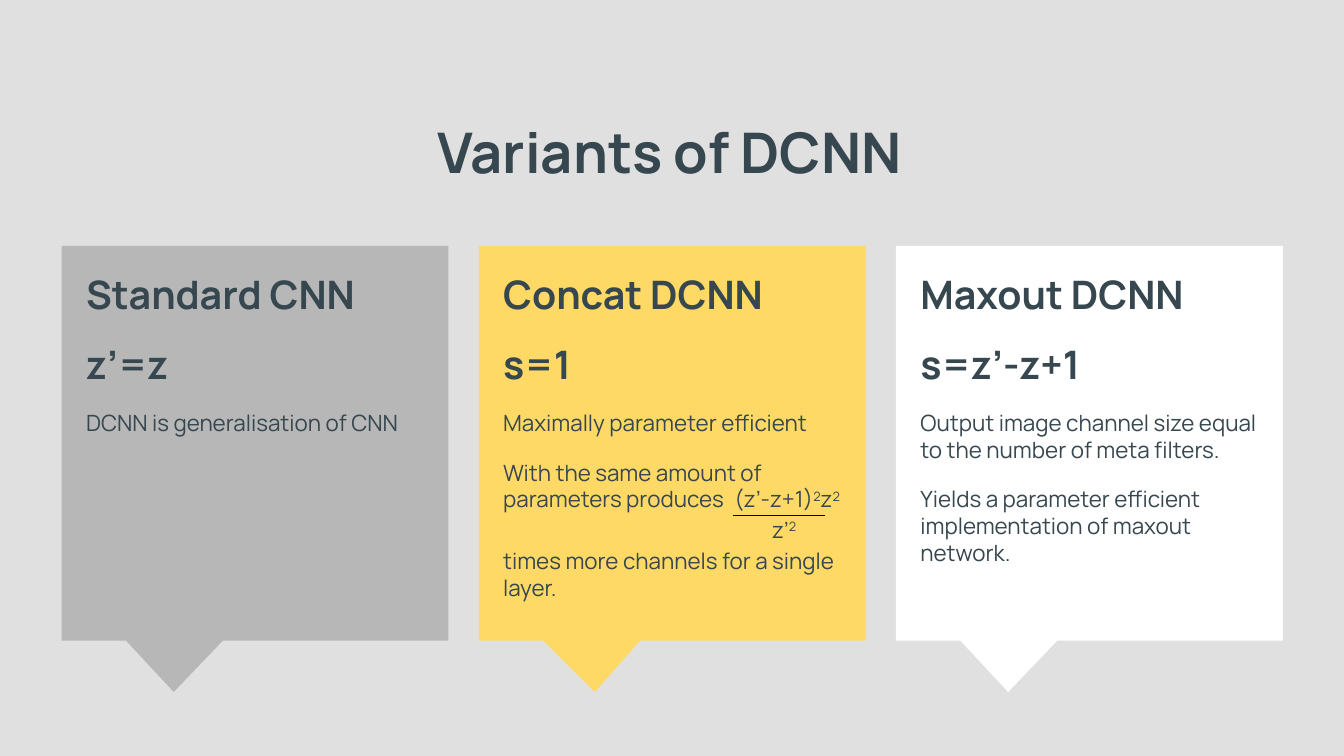
from dataclasses import dataclass

from lxml.etree import SubElement
from pptx import Presentation
from pptx.dml.color import RGBColor
from pptx.enum.shapes import MSO_CONNECTOR, MSO_SHAPE
from pptx.enum.text import PP_ALIGN
from pptx.oxml.ns import qn
from pptx.slide import Slide
from pptx.text.text import TextFrame
from pptx.util import Length, Pt


@dataclass(frozen=True)
class Theme:
    font: str = "Manrope"
    background: RGBColor = RGBColor(0xE0, 0xE0, 0xE0)
    ink: RGBColor = RGBColor(0x37, 0x47, 0x4F)
    rule: RGBColor = RGBColor(0, 0, 0)
    title: Length = Pt(30)
    heading: Length = Pt(21)
    body: Length = Pt(12)


@dataclass(frozen=True)
class Span:
    text: str
    raised: bool = False
    spacing: int = 0  # hundredths of a point


@dataclass(frozen=True)
class Line:
    spans: tuple[Span, ...]
    after: Length = Pt(12)
    indented: bool = False


@dataclass(frozen=True)
class Variant:
    name: str
    formula: str
    fill: str
    tip: tuple[float, float]
    lines: tuple[Line, ...]
    text_width: Length = Pt(195)
    text_height: Length = Pt(157.5)


THEME = Theme()
CARD_LEFT, CARD_TOP, CARD_PITCH = Pt(33), Pt(131.75), Pt(223.5)
CARD_WIDTH, CARD_HEIGHT = Pt(207.25), Pt(211.5)
TEXT_INSET = Pt(6)
SQUARED = Span("2", raised=True)

VARIANTS = (
    Variant("Standard CNN", "z’=z", "B7B7B7", (-0.21, 0.63),
            (Line((Span("DCNN is generalisation of CNN"),)),)),
    Variant("Concat DCNN", "s=1", "FFD966", (-0.2, 0.63), (
        Line((Span("Maximally parameter efficient"),)),
        Line((Span("With the same amount of parameters produces"),
              Span(" ", spacing=300), Span("(z’-z+1)"), SQUARED,
              Span("z"), SQUARED), after=Pt(2)),
        Line((Span("z’"), SQUARED), after=Pt(2), indented=True),
        Line((Span("times more channels for a single layer."),)),
    ), text_width=Pt(207.25), text_height=Pt(177)),
    Variant("Maxout DCNN", "s=z’-z+1", "FFFFFF", (-0.21, 0.63), (
        Line((Span("Output image channel size equal to the number of meta filters."),)),
        Line((Span("Yields a parameter efficient implementation of maxout network."),)),
    )),
)


def add_text_frame(page: Slide, left: Length, top: Length,
                   width: Length, height: Length) -> TextFrame:
    frame = page.shapes.add_textbox(left, top, width, height).text_frame
    frame.word_wrap = True
    frame.margin_left = frame.margin_right = Pt(7.2)
    frame.margin_top = frame.margin_bottom = Pt(7.2)
    return frame


def write_line(frame: TextFrame, line: Line, size: Length, bold: bool = False,
               align: PP_ALIGN = PP_ALIGN.LEFT) -> None:
    """Fill the empty first paragraph, or add one after the text so far."""
    first = frame.paragraphs[0]
    para = frame.add_paragraph() if first.runs else first
    para.alignment, para.space_after = align, line.after
    para.font.name, para.font.size, para.font.bold = THEME.font, size, bold
    para.font.color.rgb = THEME.ink
    if line.indented:
        properties = para._p.get_or_add_pPr()
        properties.set("marL", str(Pt(108)))
        properties.set("indent", str(Pt(36)))
    for span in line.spans:
        run = para.add_run()
        run.text = span.text
        if span.raised:
            run.font._element.set("baseline", "30000")
        if span.spacing:
            run.font._element.set("spc", str(span.spacing))


def add_card(page: Slide, variant: Variant, left: Length) -> None:
    card = page.shapes.add_shape(MSO_SHAPE.RECTANGULAR_CALLOUT, left, CARD_TOP,
                                 CARD_WIDTH, CARD_HEIGHT)
    card.shadow.inherit = False
    card.fill.solid()
    card.fill.fore_color.rgb = RGBColor.from_string(variant.fill)
    card.line.fill.background()
    card.adjustments[0], card.adjustments[1] = variant.tip

    frame = add_text_frame(page, left + TEXT_INSET, CARD_TOP + TEXT_INSET,
                           variant.text_width, variant.text_height)
    for heading in (variant.name, variant.formula):
        write_line(frame, Line((Span(heading),)), THEME.heading, bold=True)
    for line in variant.lines:
        write_line(frame, line, THEME.body)


def add_fraction_bar(page: Slide, left: Length, right: Length, y: Length) -> None:
    bar = page.shapes.add_connector(MSO_CONNECTOR.STRAIGHT, left, y, right, y)
    bar.line.color.rgb, bar.line.width = THEME.rule, Pt(0.75)
    SubElement(bar._element.spPr, qn("a:effectLst"))


def main() -> None:
    deck = Presentation()
    deck.slide_width, deck.slide_height = Pt(720), Pt(405)
    page = deck.slides.add_slide(deck.slide_layouts[6])
    page.background.fill.solid()
    page.background.fill.fore_color.rgb = THEME.background

    title = add_text_frame(page, Pt(22.25), Pt(56), Pt(679), Pt(50.5))
    write_line(title, Line((Span("Variants of DCNN "),), after=Pt(0)),
               THEME.title, bold=True, align=PP_ALIGN.CENTER)
    for column, variant in enumerate(VARIANTS):
        add_card(page, variant, CARD_LEFT + column * CARD_PITCH)
    add_fraction_bar(page, Pt(392.5), Pt(442), Pt(276.25))

    deck.save("out.pptx")


if __name__ == "__main__":
    main()
